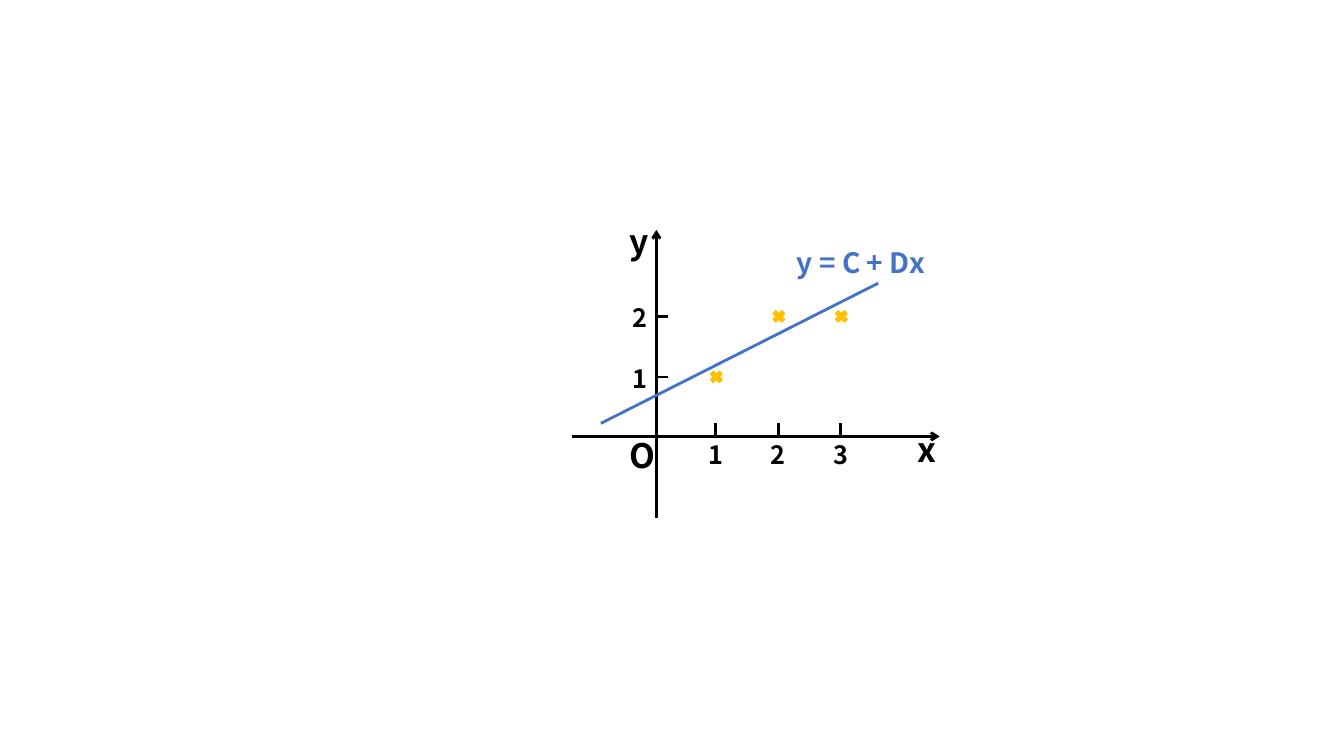
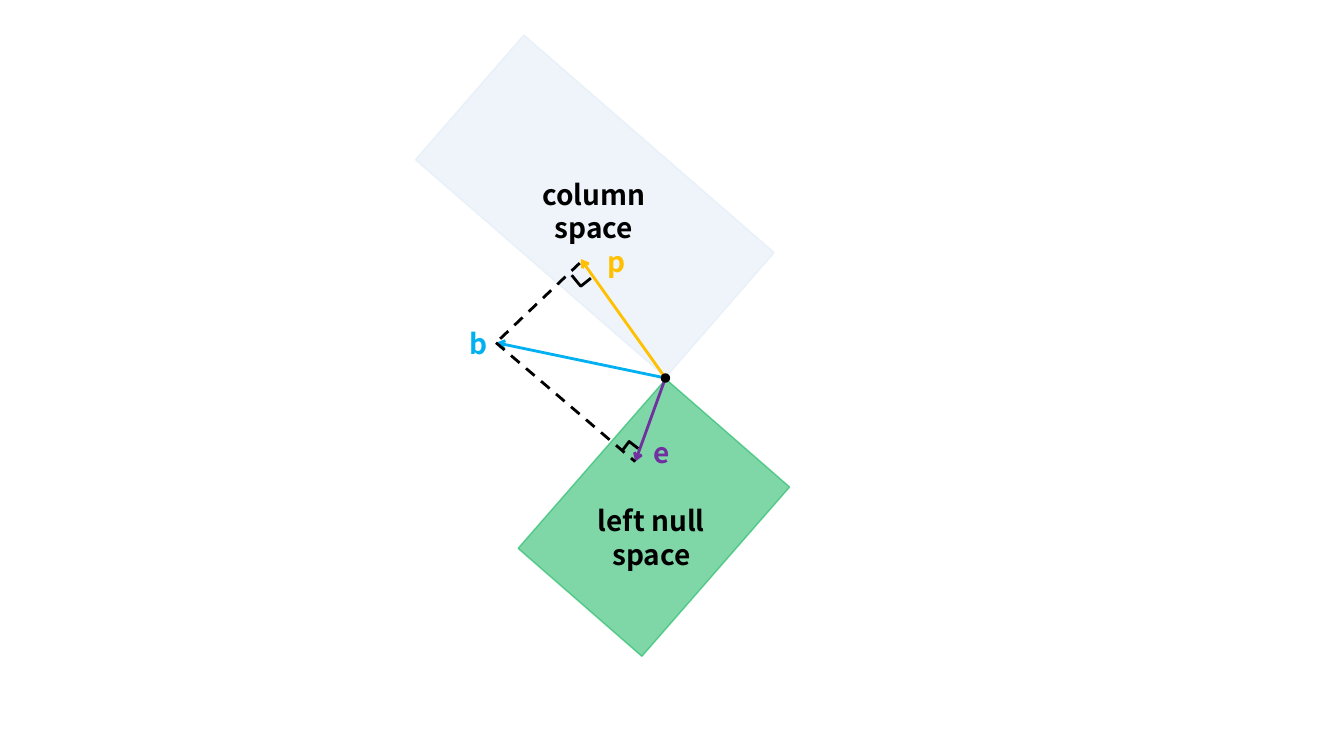
import pptx
import pptx.dml.color
import pptx.enum.dml
import pptx.enum.shapes
import pptx.enum.text
import pptx.oxml
import pptx.oxml.ns
import pptx.util

SCALE = 9144
FONT = "Noto Sans CJK SC"
BLACK = "000000"
YELLOW = "FFC000"
BLUE = "4472C4"
SKY = "00B0F0"
PURPLE = "7030A0"
GREEN = "00B050"
PALE = "DEEBF7"
SHAPES = pptx.enum.shapes.MSO_SHAPE
ALIGN = pptx.enum.text.PP_ALIGN
DASH = pptx.enum.dml.MSO_LINE.DASH


def px(length):
    return pptx.util.Emu(round(length * SCALE))


def color(hex_string):
    return pptx.dml.color.RGBColor.from_string(hex_string)


def add_child(parent, tag, **attributes):
    child = pptx.oxml.parse_xml(f"<{tag} {pptx.oxml.ns.nsdecls('a')}/>")
    for name, value in attributes.items():
        child.set(name, value)
    parent.append(child)


def add_line(slide, start, end, line_color=BLACK, dashed=False, arrow=False):
    connector = slide.shapes.add_connector(
        pptx.enum.shapes.MSO_CONNECTOR.STRAIGHT,
        px(start[0]), px(start[1]), px(end[0]), px(end[1]))
    connector.line.color.rgb = color(line_color)
    connector.line.width = pptx.util.Pt(2)
    if dashed:
        connector.line.dash_style = DASH
    properties = connector._element.spPr
    if arrow:
        add_child(properties.find(pptx.oxml.ns.qn("a:ln")), "a:tailEnd", type="arrow")
    add_child(properties, "a:effectLst")


def add_shape(slide, preset, left, top, width, height, fill, rotation=0, opacity=100):
    shape = slide.shapes.add_shape(preset, px(left), px(top), px(width), px(height))
    shape.rotation = rotation
    shape.fill.solid()
    shape.fill.fore_color.rgb = color(fill)
    shape.line.color.rgb = color(fill)
    shape.line.width = pptx.util.Pt(1)
    shape.shadow.inherit = False
    if opacity < 100:
        for element in shape._element.spPr.iter(pptx.oxml.ns.qn("a:srgbClr")):
            add_child(element, "a:alpha", val=str(opacity * 1000))


def add_corner(slide, points):
    (start_x, start_y), *others = points
    builder = slide.shapes.build_freeform(px(start_x), px(start_y))
    builder.add_line_segments([(px(x), px(y)) for x, y in others], close=False)
    shape = builder.convert_to_shape()
    shape.fill.background()
    shape.line.color.rgb = color(BLACK)
    shape.line.width = pptx.util.Pt(2)
    shape.shadow.inherit = False


def add_label(slide, lines, center, top, size, text_color=BLACK, width=40):
    height = 10 + round(size * 1.7) * len(lines)
    box = slide.shapes.add_textbox(px(center - width / 2), px(top), px(width), px(height))
    frame = box.text_frame
    frame.word_wrap = False
    frame.auto_size = pptx.enum.text.MSO_AUTO_SIZE.SHAPE_TO_FIT_TEXT
    paragraph = frame.paragraphs[0]
    paragraph.alignment = ALIGN.CENTER
    for index, line in enumerate(lines):
        if index:
            paragraph.add_line_break()
        run = paragraph.add_run()
        run.text = line
        run.font.name = FONT
        run.font.size = pptx.util.Pt(size)
        run.font.bold = True
        run.font.color.rgb = color(text_color)


def draw_fitted_line(slide, left, top, width, height):
    origin_x, origin_y = left + 84, top + 219

    def tick_x(value):
        return origin_x + 59 + 62 * (value - 1)

    def tick_y(value):
        return origin_y + 1 - 60 * value

    add_line(slide, (left, origin_y), (left + width, origin_y), arrow=True)
    add_line(slide, (origin_x, top + height), (origin_x, top + 14), arrow=True)
    for text, center, label_top in (
        ("x", left + width - 13, origin_y - 12),
        ("y", origin_x - 17, top),
        ("O", origin_x - 16, origin_y - 6),
    ):
        add_label(slide, [text], center, label_top, 24)
    for value in (1, 2, 3):
        add_line(slide, (tick_x(value), origin_y - 13), (tick_x(value), origin_y), dashed=True)
        add_label(slide, [str(value)], tick_x(value), origin_y - 2, 18)
    for value in (1, 2):
        add_line(slide, (origin_x, tick_y(value)), (origin_x + 19, tick_y(value)), dashed=True)
        add_label(slide, [str(value)], origin_x - 16, tick_y(value) - 19, 18)
    for x, y in ((3, 2), (2, 2), (1, 1)):
        add_shape(slide, SHAPES.MATH_MULTIPLY, tick_x(x) - 8, tick_y(y) - 8, 17, 16, YELLOW)
    add_line(slide, (left + 29, origin_y - 13), (left + 304, top + 67), BLUE)
    add_label(slide, ["y = C + Dx"], left + 287, top + 25, 20, BLUE, 156)


def draw_subspaces(slide, left, top):
    vertex_x, vertex_y = left + 248, top + 340

    def place(x, y):
        return vertex_x + x, vertex_y + y

    vertex, b_tip, e_tip, p_tip = (
        place(*offset) for offset in ((0, 0), (-168, -35), (-30, 83), (-84, -118)))

    add_shape(slide, SHAPES.RECTANGLE, *place(-93, 27), 163, 223, GREEN, 221.1, 50)
    add_shape(slide, SHAPES.RECTANGLE, *place(-152, -335), 164, 329, PALE, 311, 50)
    for tip, vector_color in ((e_tip, PURPLE), (p_tip, YELLOW), (b_tip, SKY)):
        add_line(slide, vertex, tip, vector_color, arrow=True)
    add_shape(slide, SHAPES.OVAL, *place(-4, -4), 8, 8, BLACK)
    for lines, offset, text_color, width in (
        (["column", "space"], (-71, -204), BLACK, 194),
        (["left null", "space"], (-14, 120), BLACK, 197),
        (["b"], (-186, -56), SKY, 37),
        (["e"], (-4, 52), PURPLE, 35),
        (["p"], (-49, -137), YELLOW, 37),
    ):
        add_label(slide, lines, *place(*offset), 20, text_color, width)
    add_line(slide, b_tip, e_tip, dashed=True)
    add_line(slide, place(-85, -114), b_tip, dashed=True)
    for offsets in (
        ((-42, 71), (-36, 63), (-27, 70)),
        ((-74, -99), (-84, -91), (-93, -102)),
    ):
        add_corner(slide, [place(*offset) for offset in offsets])


def main():
    presentation = pptx.Presentation()
    presentation.slide_width = px(1333)
    presentation.slide_height = px(750)
    blank = presentation.slide_layouts[6]
    draw_fitted_line(presentation.slides.add_slide(blank), 567, 214, 365, 300)
    draw_subspaces(presentation.slides.add_slide(blank), 412, 35)
    presentation.save("out.pptx")


if __name__ == "__main__":
    main()
